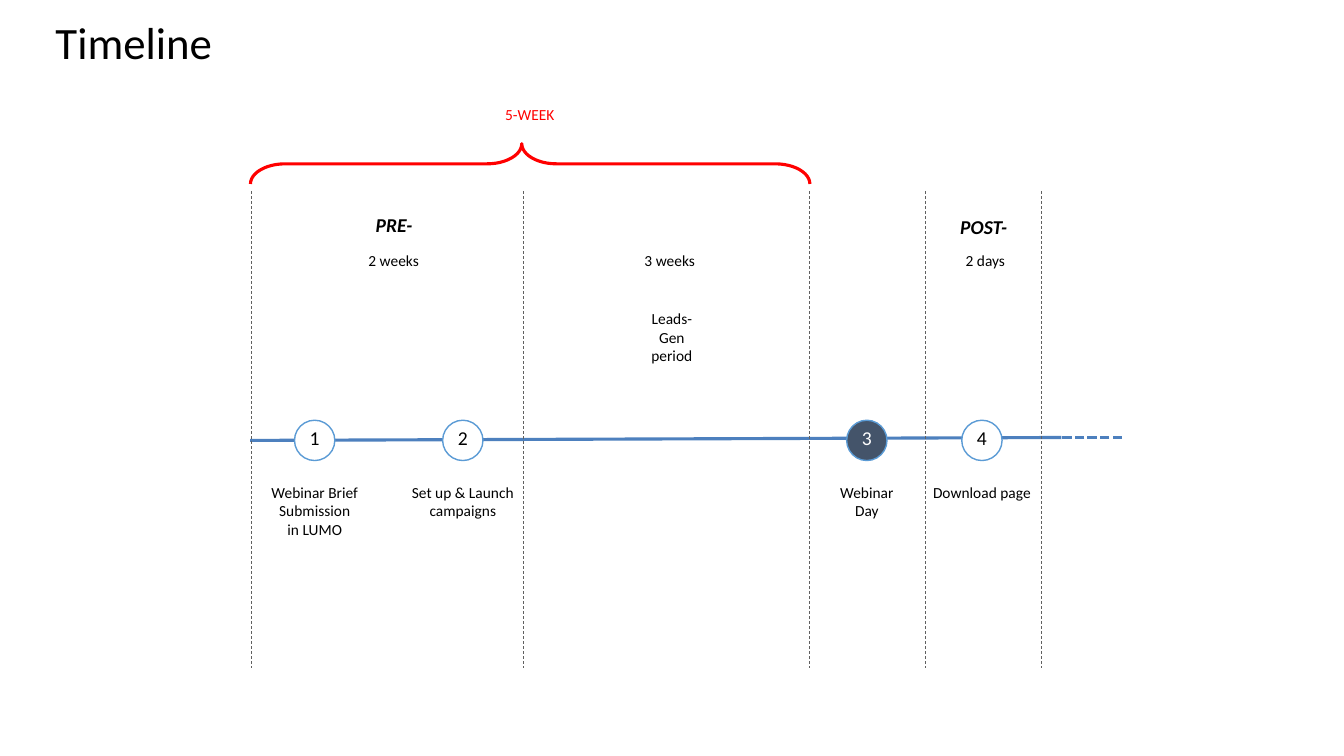
import pptx
import pptx.dml.color
import pptx.enum.dml
import pptx.enum.shapes
import pptx.enum.text
import pptx.oxml
import pptx.util

Pt = pptx.util.Pt
FONT = "Calibri"
BLACK, WHITE, RED = "000000", "FFFFFF", "FF0000"
AXIS_BLUE, MARKER_BLUE, SLATE, DIVIDER_GRAY = "4D80BE", "5B9BD5", "44546A", "606060"
DASH = pptx.enum.dml.MSO_LINE


def write_text(shape, text, size, color=BLACK, emphasis=False, align="CENTER"):
    text_frame = shape.text_frame
    text_frame.text = text
    text_frame.word_wrap = True
    for paragraph in text_frame.paragraphs:
        paragraph.alignment = getattr(pptx.enum.text.PP_ALIGN, align)
        for run in paragraph.runs:
            run.font.name = FONT
            run.font.size = Pt(size)
            run.font.bold = run.font.italic = emphasis
            run.font.color.rgb = pptx.dml.color.RGBColor.from_string(color)


def add_line(start_x, start_y, end_x, end_y, color, width, dash=None):
    connector = slide.shapes.add_connector(
        pptx.enum.shapes.MSO_CONNECTOR.STRAIGHT,
        Pt(start_x), Pt(start_y), Pt(end_x), Pt(end_y))
    connector.line.color.rgb = pptx.dml.color.RGBColor.from_string(color)
    connector.line.width = Pt(width)
    connector.line.dash_style = dash
    properties = connector._element.spPr
    properties.append(properties.makeelement(pptx.oxml.ns.qn("a:effectLst"), {}))


presentation = pptx.Presentation()
presentation.slide_width, presentation.slide_height = Pt(960), Pt(540)
slide = presentation.slides.add_slide(presentation.slide_layouts[5])

title = slide.shapes.title
title.left, title.top, title.width, title.height = Pt(32.4), Pt(0), Pt(879), Pt(64)
write_text(title, "Timeline", 32, align="LEFT")
title.text_frame.auto_size = pptx.enum.text.MSO_AUTO_SIZE.NONE
title.text_frame.vertical_anchor = pptx.enum.text.MSO_ANCHOR.MIDDLE
title.text_frame.paragraphs[0].line_spacing = 0.9

# Time axis with a dashed continuation
add_line(178.6, 314.6, 758.2, 312.5, AXIS_BLUE, 2.25)
add_line(801.4, 312.5, 758.2, 312.5, AXIS_BLUE, 2.25, DASH.SQUARE_DOT)

# Period dividers
for divider_x in (179.3, 373.7, 578.2, 661, 743.8):
    add_line(divider_x, 136.5, divider_x, 477.4, DIVIDER_GRAY, 0.5, DASH.DASH)

# Numbered milestones: centre, label, label height, marker fill, number colour
milestones = [
    (224.8, "Webinar Brief Submission\vin LUMO", 47.5, WHITE, BLACK),
    (330.6, "Set up & Launch campaigns", 34, WHITE, BLACK),
    (619.2, "Webinar\nDay", 34, SLATE, WHITE),
    (701.4, "Download page", 20.6, WHITE, BLACK),
]
MARKER_SIZE = 28.8
labels = []
for number, (center, label, height, fill, number_color) in enumerate(milestones, 1):
    marker = slide.shapes.add_shape(
        pptx.enum.shapes.MSO_SHAPE.OVAL, Pt(center - MARKER_SIZE / 2), Pt(300.2),
        Pt(MARKER_SIZE), Pt(MARKER_SIZE))
    marker.shadow.inherit = False
    marker.fill.solid()
    marker.fill.fore_color.rgb = pptx.dml.color.RGBColor.from_string(fill)
    marker.line.color.rgb = pptx.dml.color.RGBColor.from_string(MARKER_BLUE)
    marker.line.width = Pt(1)
    write_text(marker, str(number), 14, number_color)
    marker_text = marker.text_frame
    marker_text.margin_left = marker_text.margin_right = 0
    marker_text.margin_top = marker_text.margin_bottom = 0
    marker_text.vertical_anchor = pptx.enum.text.MSO_ANCHOR.TOP
    labels.append((label, center, 341.3, 107.3, height, 11, BLACK, False))

# Text labels: text, centre, top, width, height, size, colour, emphasis
labels += [
    ("PRE-", 281.5, 148.3, 196, 24.5, 14, BLACK, True),
    ("POST-", 702.7, 149.8, 196, 24.5, 14, BLACK, True),
    ("2 weeks", 281.2, 175.7, 107.3, 20.6, 11, BLACK, False),
    ("3 weeks", 478.4, 175.7, 107.3, 20.6, 11, BLACK, False),
    ("2 days", 703.8, 175.7, 107.3, 20.6, 11, BLACK, False),
    ("Leads-\nGen\nperiod", 479.9, 217.4, 107.3, 47.5, 11, BLACK, False),
    ("5-WEEK", 378.4, 71.6, 107.3, 20.6, 11, RED, False),
]
for text, center, top, width, height, size, color, emphasis in labels:
    text_box = slide.shapes.add_textbox(
        Pt(center - width / 2), Pt(top), Pt(width), Pt(height))
    write_text(text_box, text, size, color, emphasis)

# Brace over the five weeks before the webinar
brace = slide.shapes.add_shape(
    pptx.enum.shapes.MSO_SHAPE.RIGHT_BRACE, Pt(364.3), Pt(-82.8), Pt(28.8), Pt(399.6))
brace.rotation = 270
brace.adjustments[0], brace.adjustments[1] = 0.86, 0.485
brace.shadow.inherit = False
brace.fill.background()
brace.line.color.rgb = pptx.dml.color.RGBColor.from_string(RED)
brace.line.width = Pt(2.25)

presentation.save("out.pptx")
